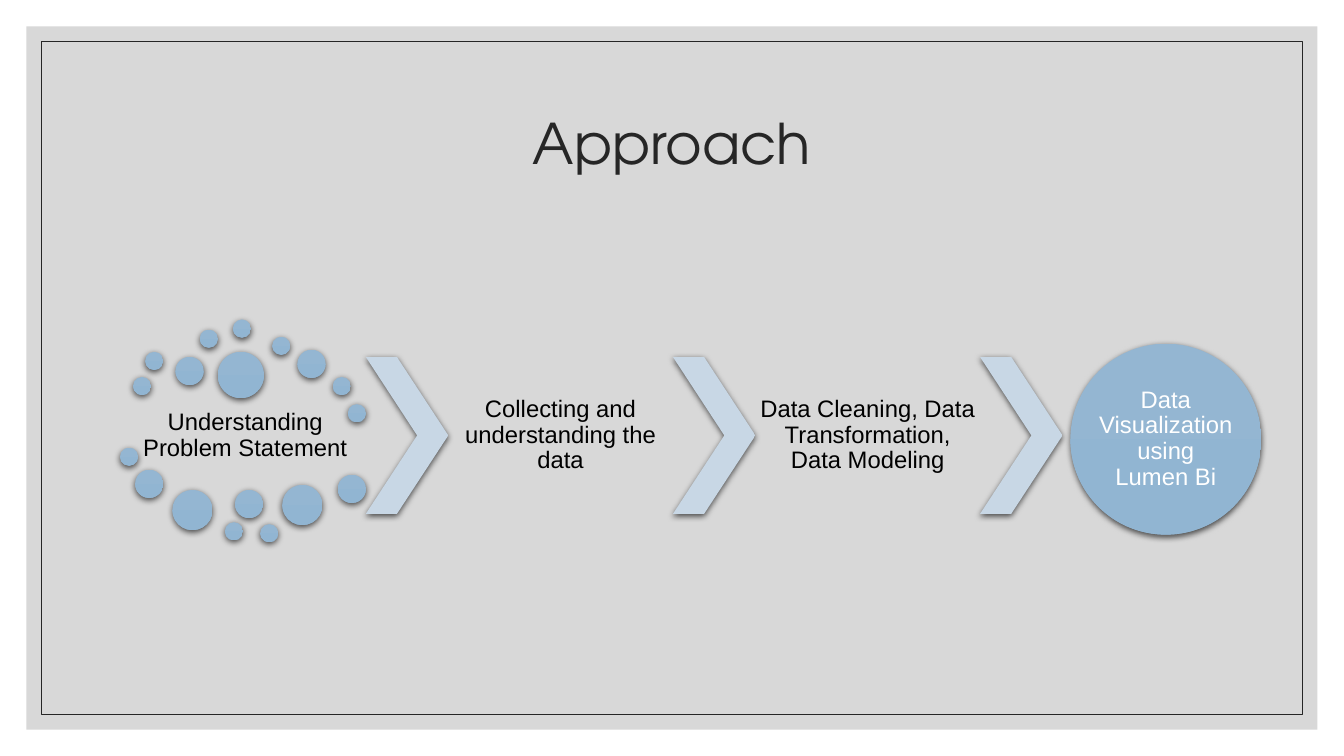
from dataclasses import dataclass

from lxml import etree
from pptx import Presentation
from pptx.dml.color import RGBColor
from pptx.enum import shapes as sh, text as tx
from pptx.oxml.ns import qn
from pptx.util import Pt

TITLE = "Approach"
START = "Understanding Problem Statement"
STEPS = ["Collecting and understanding the data",
         "Data Cleaning, Data Transformation, Data Modeling"]
GOAL = "Data Visualization using Lumen Bi"

# Dot diameter: left and top of each dot
DOTS = {
    13: [(95, 269.3), (103.7, 251.3), (142.6, 235.4), (166.3, 228.2),
         (194.4, 240.5), (237.6, 269.3), (248.4, 288.7), (85.7, 319.7),
         (160.6, 373), (185.8, 374.4)],
    20.2: [(125.3, 254.9), (212.4, 249.8), (96.5, 335.5), (167.8, 349.9),
           (241.2, 339.1)],
    28.8: [(123.1, 349.9), (201.6, 346.3)],
    33.1: [(155.5, 251.3)],
}


@dataclass(frozen=True)
class Theme:
    ink: str = "262626"
    black: str = "000000"
    white: str = "FFFFFF"
    panel: str = "BFBFBF"
    blue: tuple = ("94B6D2", "91B5D2")
    pale: tuple = ("C8D7E5", "C5D5E4")
    head: str = "TeX Gyre Adventor"
    body: str = "Arial"
    big: int = 40
    small: int = 17


T = Theme()
WIDE, HIGH = 960, 540
ROW = 254.9            # top of the chevrons and step texts
TALL = 112.3
ARROW = 59             # chevron width
LABEL = 160.4          # step text width
FIRST = 261.2          # left of the first chevron
PITCH = ARROW + LABEL


def rgb(code):
    return RGBColor.from_string(code)


def box(x, y, w, h):
    return Pt(x), Pt(y), Pt(w), Pt(h)


def write(shape, words, font, size, color):
    frame = shape.text_frame
    frame.word_wrap = True
    frame.vertical_anchor = tx.MSO_ANCHOR.MIDDLE
    frame.text = words
    para = frame.paragraphs[0]
    para.alignment = tx.PP_ALIGN.CENTER
    para.line_spacing = 0.9
    para.font.name = font
    para.font.size = Pt(size)
    para.font.color.rgb = rgb(color)
    return frame


def inset(frame, gap):
    frame.margin_left = frame.margin_right = Pt(gap)
    frame.margin_top = frame.margin_bottom = Pt(gap)


def label(slide, words, place):
    shape = slide.shapes.add_textbox(*place)
    inset(write(shape, words, T.body, T.small, T.black), 1.4)


def glossy(slide, kind, place, tones):
    """Add a shape with a top-down gradient and a soft shadow below it."""
    shape = slide.shapes.add_shape(kind, *place)
    shape.line.fill.background()
    shape.fill.gradient()
    shape.fill.gradient_angle = 270
    for stop, tone in zip(shape.fill.gradient_stops, tones):
        stop.color.rgb = rgb(tone)
    shape.shadow.inherit = False
    effects = shape.element.spPr.find(qn("a:effectLst"))
    shade = etree.SubElement(
        effects, qn("a:outerShdw"), blurRad=str(Pt(4.5)), dist=str(Pt(1.5)),
        dir="5400000", algn="ctr", rotWithShape="0")
    color = etree.SubElement(shade, qn("a:srgbClr"), val=T.black)
    etree.SubElement(color, qn("a:alpha"), val="63000")
    return shape


def frame_slide(slide):
    """Put the tinted panel and its thin border behind the title."""
    title = slide.shapes.title
    for gap in (18.9, 29.5):
        place = box(gap, gap, WIDE - 2 * gap, HIGH - 2 * gap)
        rect = slide.shapes.add_shape(sh.MSO_SHAPE.RECTANGLE, *place)
        rect.shadow.inherit = False
        title.element.addprevious(rect.element)
        if gap < 20:
            rect.line.fill.background()
            rect.fill.solid()
            rect.fill.fore_color.rgb = rgb(T.panel)
            tint = rect.element.spPr.find(".//" + qn("a:srgbClr"))
            etree.SubElement(tint, qn("a:alpha"), val="60000")
        else:
            rect.fill.background()
            rect.line.color.rgb = rgb(T.ink)
            rect.line.width = Pt(0.5)


def main():
    deck = Presentation()
    deck.slide_width, deck.slide_height = Pt(WIDE), Pt(HIGH)
    slide = deck.slides.add_slide(deck.slide_layouts[5])

    title = slide.shapes.title
    title.left, title.top, title.width, title.height = box(84, 50.4, 792, 108)
    write(title, TITLE, T.head, T.big, T.ink)
    frame_slide(slide)

    label(slide, START, box(95, 285.1, LABEL, 52.6))
    for size, spots in DOTS.items():
        for x, y in spots:
            glossy(slide, sh.MSO_SHAPE.OVAL, box(x, y, size, size), T.blue)

    for i in range(len(STEPS) + 1):
        x = FIRST + i * PITCH
        arrow = glossy(slide, sh.MSO_SHAPE.CHEVRON,
                       box(x, ROW, ARROW, TALL), T.pale)
        arrow.adjustments[0] = 0.623
        if i < len(STEPS):
            label(slide, STEPS[i], box(x + ARROW, ROW, LABEL, TALL))

    goal = glossy(slide, sh.MSO_SHAPE.OVAL,
                  box(764.6, 245.5, 136.4, 136.4), T.blue)
    inset(write(goal, GOAL, T.body, T.small, T.white), 0)

    deck.save("out.pptx")


if __name__ == "__main__":
    main()
